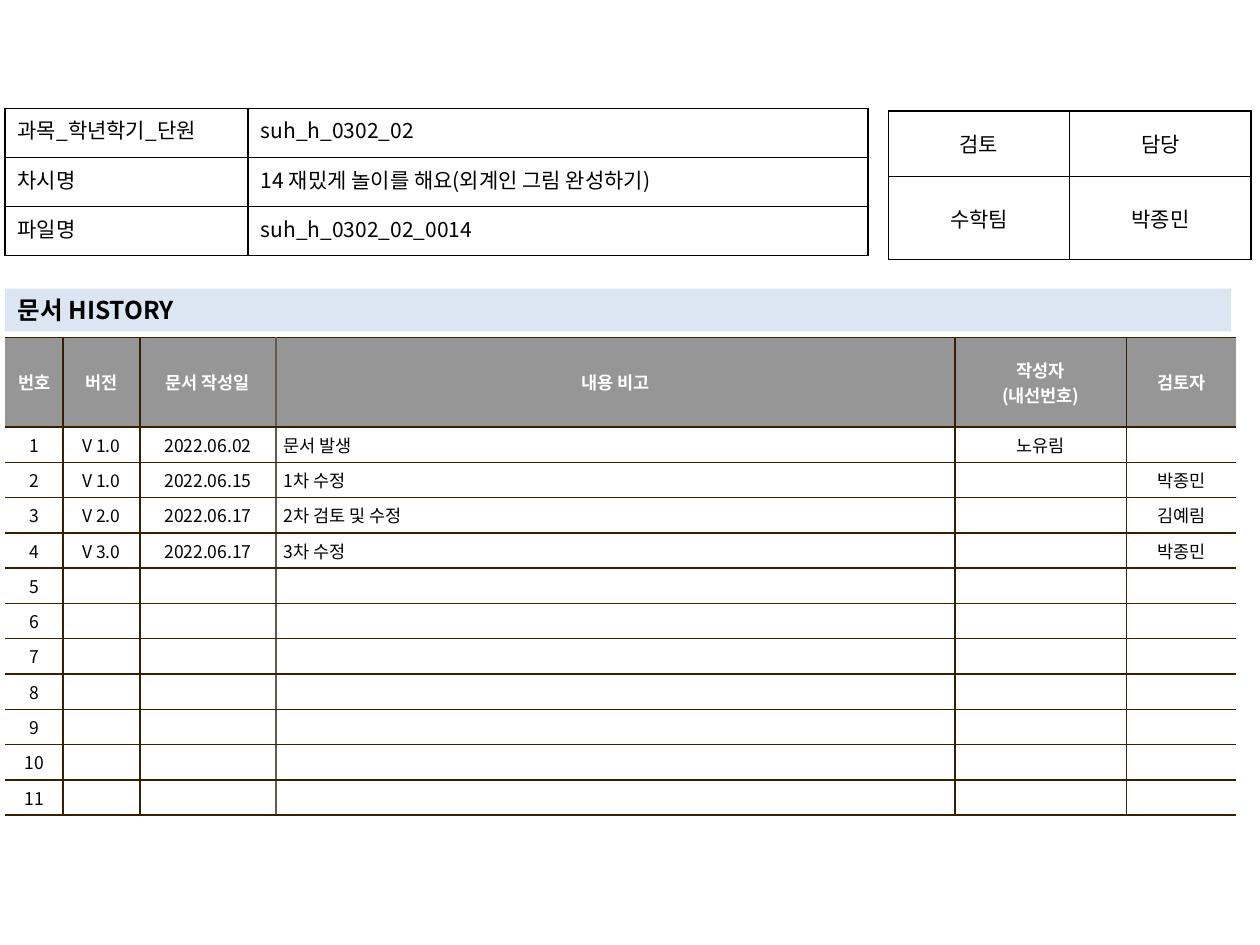
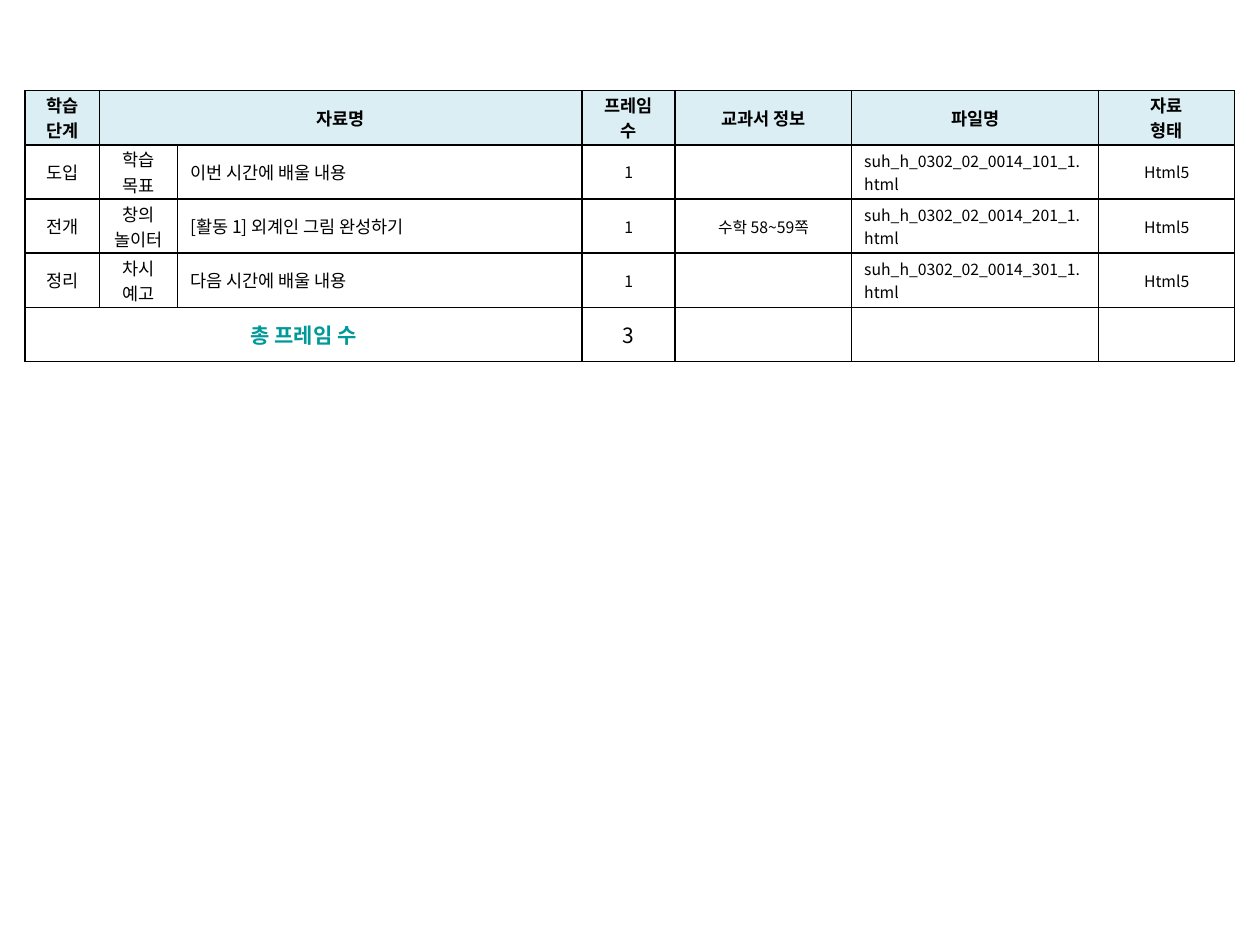
from lxml.etree import SubElement
from pptx import Presentation
from pptx.dml.color import RGBColor
from pptx.enum.text import MSO_ANCHOR, MSO_AUTO_SIZE, PP_ALIGN
from pptx.oxml import parse_xml
from pptx.oxml.ns import nsdecls, qn
from pptx.util import Inches, Pt

FONT = "Noto Sans CJK KR"
BLACK, WHITE, TEAL = "000000", "FFFFFF", "009999"
BANNER, HEADER_GRAY, HEADER_BLUE = "DCE6F2", "969696", "DBEEF4"
BROWN, LIGHT_BROWN = "362000", "645B4C"
LEFT, CENTER, JUSTIFY = PP_ALIGN.LEFT, PP_ALIGN.CENTER, PP_ALIGN.JUSTIFY
EDGE = 0.04  # left edge shared by the blocks of the first slide


def style_text(frame, size, color=BLACK, bold=False, align=CENTER):
    for para in frame.paragraphs:
        para.alignment = align
        para.font.size = Pt(size)
        para.font.bold = bold
        para.font.color.rgb = RGBColor.from_string(color)
        para.font.name = FONT
        properties = para._p.pPr.find(qn("a:defRPr"))
        if properties.find(qn("a:ea")) is None:
            SubElement(properties, qn("a:ea")).set("typeface", FONT)


def add_grid(page, left, top, widths, heights, rows, edge_color,
             margins=(0.1, 0.05), anchor=MSO_ANCHOR.MIDDLE, open_sides=False, soft_column=None):
    """Add a ruled table; soft_column is the column whose left rule is lighter."""
    table = page.shapes.add_table(len(rows), len(widths), Inches(left), Inches(top),
                                  Inches(sum(widths)), Inches(sum(heights))).table
    table.first_row = table.horz_banding = False
    for column, width in zip(table.columns, widths):
        column.width = Inches(width)
    for row, height in zip(table.rows, heights):
        row.height = Inches(height)
    for r, texts in enumerate(rows):
        for c, text in enumerate(texts):
            cell = table.cell(r, c)
            cell.text = text
            cell.vertical_anchor = anchor
            cell.margin_left = cell.margin_right = Inches(margins[0])
            cell.margin_top = cell.margin_bottom = Inches(margins[1])
            cell.fill.background()
            rules = {"L": edge_color, "R": edge_color, "T": edge_color, "B": edge_color}
            if c == soft_column:
                rules["L"] = LIGHT_BROWN
            if soft_column is not None and c == soft_column - 1:
                rules["R"] = LIGHT_BROWN
            if open_sides and c == 0:
                rules["L"] = None
            if open_sides and c == len(widths) - 1:
                rules["R"] = None
            for position, (side, color) in enumerate(rules.items()):
                paint = (f'<a:solidFill><a:srgbClr val="{color}"/></a:solidFill>'
                         if color else "<a:noFill/>")
                line = parse_xml(f'<a:ln{side} {nsdecls("a")} w="12700">{paint}</a:ln{side}>')
                cell._tc.get_or_add_tcPr().insert(position, line)
    return table


deck = Presentation()
deck.slide_width, deck.slide_height = Inches(10), Inches(7.5)

# Slide 1: document details and history
page = deck.slides.add_slide(deck.slide_layouts[5])

history_rows = [
    ["번호", "버전", "문서 작성일", "내용 비고", "작성자\n(내선번호)", "검토자"],
    ["1", "V 1.0", "2022.06.02", "문서 발생", "노유림", ""],
    ["2", "V 1.0", "2022.06.15", "1차 수정", "", "박종민"],
    ["3", "V 2.0", "2022.06.17", "2차 검토 및 수정", "", "김예림"],
    ["4", "V 3.0", "2022.06.17", "3차 수정", "", "박종민"],
] + [[str(number)] + [""] * 5 for number in range(5, 12)]
history = add_grid(page, EDGE, 2.68, [0.46, 0.61, 1.08, 5.39, 1.36, 0.87],
                   [0.71] + [0.28] * 11, history_rows, BROWN, margins=(0.06, 0.04),
                   open_sides=True, soft_column=3)
for r, row in enumerate(history.rows):
    for c, cell in enumerate(row.cells):
        is_header = r == 0
        cell.fill.solid()
        cell.fill.fore_color.rgb = RGBColor.from_string(HEADER_GRAY if is_header else WHITE)
        style_text(cell.text_frame, 10, WHITE if is_header else BLACK, is_header,
                   LEFT if c == 3 and not is_header else CENTER)

review = add_grid(page, 7.05, 0.88, [1.44, 1.44], [0.52, 0.66],
                  [["검토", "담당"], ["수학팀", "박종민"]], BLACK)
for cell in review.iter_cells():
    style_text(cell.text_frame, 12)

lesson_rows = [
    ["과목_학년학기_단원", "suh_h_0302_02"],
    ["차시명", "14 재밌게 놀이를 해요(외계인 그림 완성하기)"],
    ["파일명", "suh_h_0302_02_0014"],
]
lesson = add_grid(page, EDGE, 0.86, [1.93, 4.92], [0.39] * 3, lesson_rows, BLACK,
                  anchor=MSO_ANCHOR.TOP)
for row in lesson.rows:
    for cell, align in zip(row.cells, (JUSTIFY, LEFT)):
        style_text(cell.text_frame, 12, align=align)

banner = page.shapes.title
banner.left, banner.top = Inches(EDGE), Inches(2.29)
banner.width, banner.height = Inches(9.73), Inches(0.34)
banner.fill.solid()
banner.fill.fore_color.rgb = RGBColor.from_string(BANNER)
frame = banner.text_frame
frame.text = "문서 HISTORY"
frame.auto_size = MSO_AUTO_SIZE.NONE
frame.vertical_anchor = MSO_ANCHOR.MIDDLE
frame.margin_top = frame.margin_bottom = 0
style_text(frame, 14, bold=True, align=LEFT)

# Slide 2: learning materials and frame counts
page = deck.slides.add_slide(deck.slide_layouts[6])
steps = [
    ("도입", "학습 목표", "이번 시간에 배울 내용", ""),
    ("전개", "창의\n놀이터", "[활동 1] 외계인 그림 완성하기", "수학 58~59쪽"),
    ("정리", "차시 예고", "다음 시간에 배울 내용", ""),
]
material_rows = [["학습 단계", "자료명", "", "프레임 수", "교과서 정보", "파일명", "자료\n형태"]]
for number, (stage, part, title, textbook) in enumerate(steps, 1):
    material_rows.append([stage, part, title, "1", textbook,
                          f"suh_h_0302_02_0014_{number}01_1.html", "Html5"])
material_rows.append(["총 프레임 수", "", "", "3", "", "", ""])

materials = add_grid(page, 0.2, 0.72, [0.59, 0.62, 3.21, 0.74, 1.4, 1.96, 1.08],
                     [0.43] * 5, material_rows, BLACK, margins=(0.1, 0.01))
body_aligns = [CENTER, CENTER, LEFT, CENTER, CENTER, JUSTIFY, CENTER]
total_row = len(material_rows) - 1
for r, row in enumerate(materials.rows):
    for c, cell in enumerate(row.cells):
        if r == 0:
            cell.fill.solid()
            cell.fill.fore_color.rgb = RGBColor.from_string(HEADER_BLUE)
            style_text(cell.text_frame, 10, bold=True)
        elif r == total_row:
            is_label = c == 0
            style_text(cell.text_frame, 12, TEAL if is_label else BLACK, is_label)
        else:
            style_text(cell.text_frame, 10 if c < 3 else 9, align=body_aligns[c])
materials.cell(0, 1).merge(materials.cell(0, 2))
materials.cell(total_row, 0).merge(materials.cell(total_row, 2))

deck.save("out.pptx")
